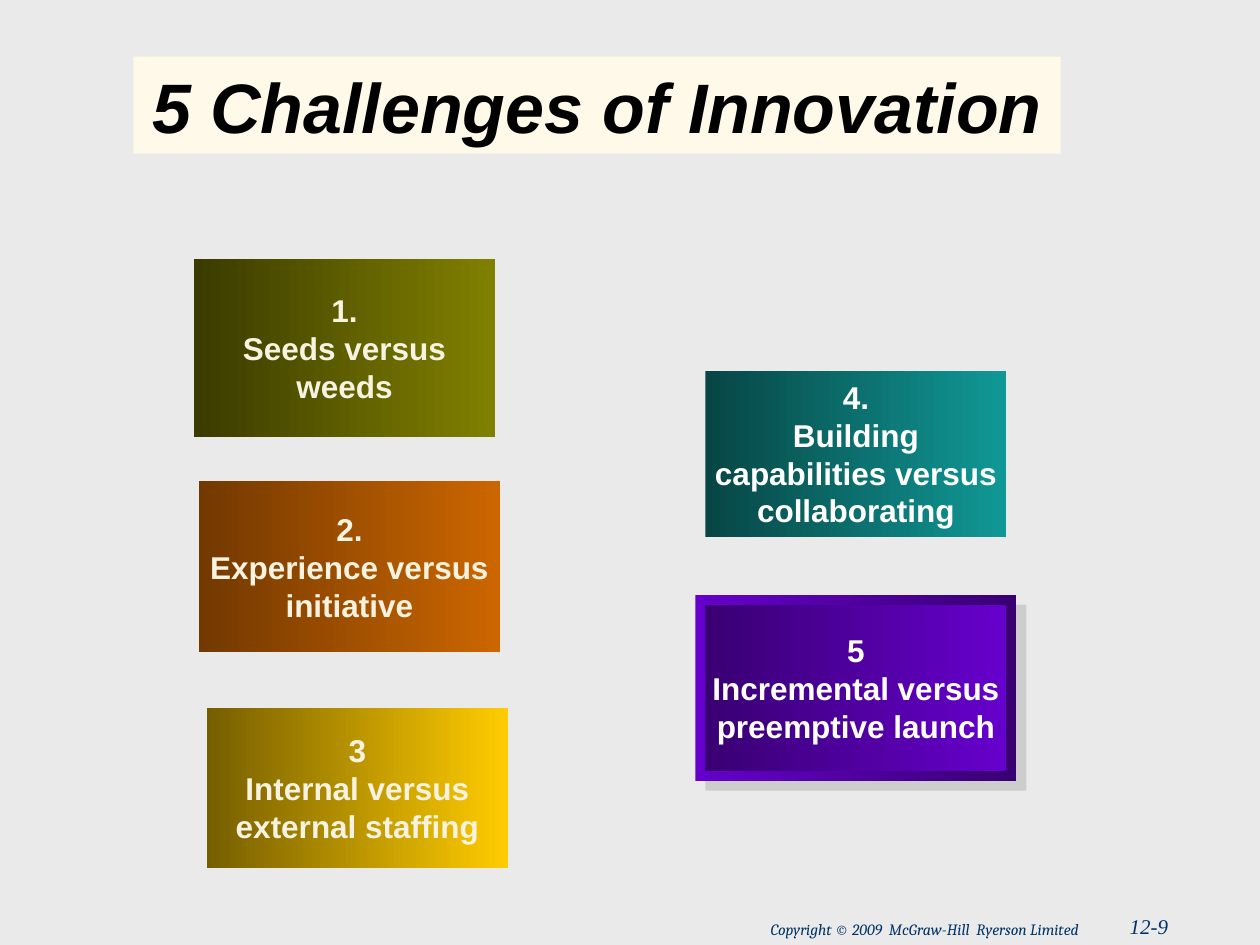
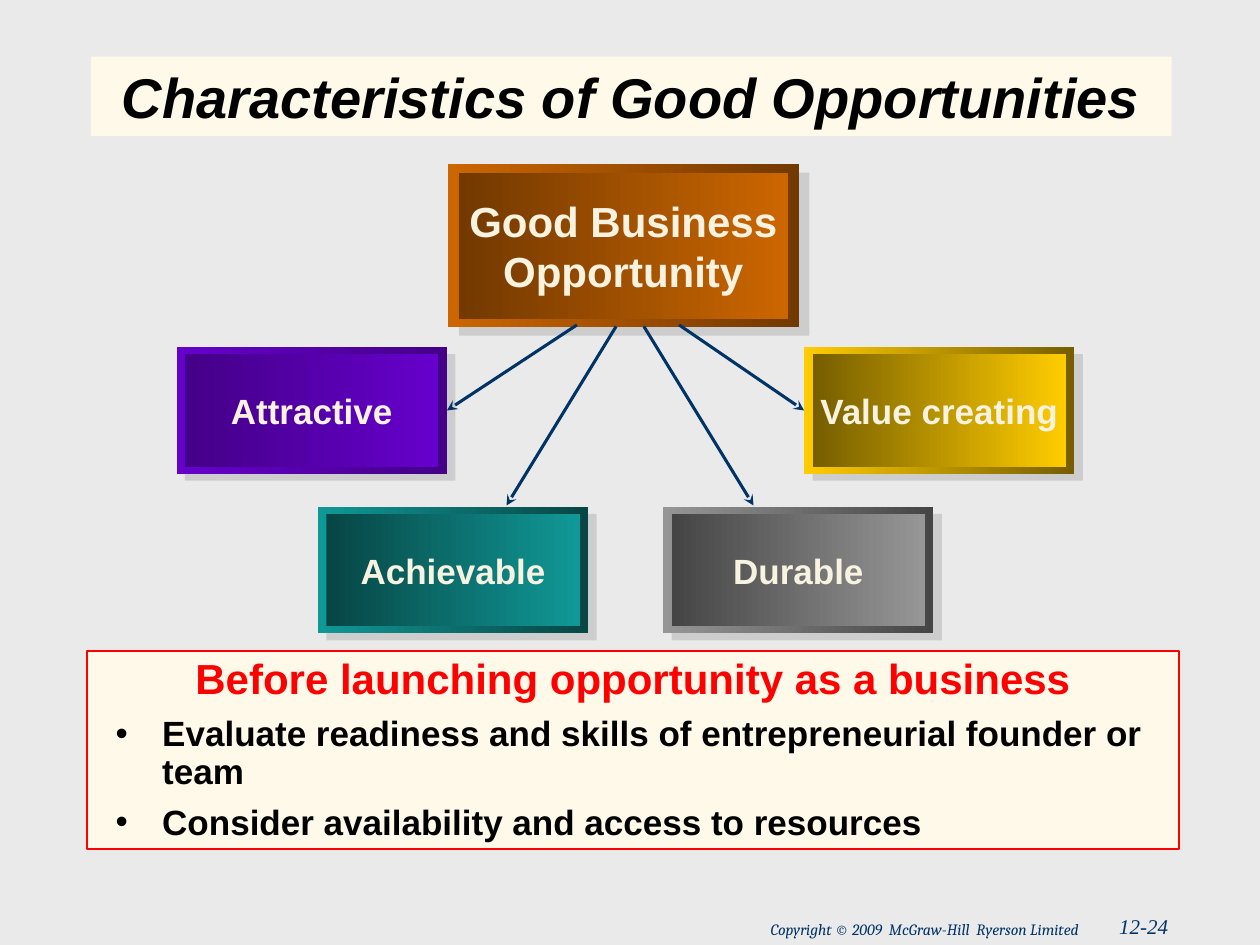
import pptx
import pptx.dml.color
import pptx.enum.shapes
import pptx.enum.text
import pptx.oxml.ns
import pptx.util
from lxml import etree

Cm, Pt = pptx.util.Cm, pptx.util.Pt
RGB = pptx.dml.color.RGBColor
ALIGN = pptx.enum.text.PP_ALIGN
ANCHOR = pptx.enum.text.MSO_ANCHOR
RECTANGLE = pptx.enum.shapes.MSO_SHAPE.RECTANGLE
STRAIGHT = pptx.enum.shapes.MSO_CONNECTOR.STRAIGHT
qn = pptx.oxml.ns.qn

BACKGROUND = RGB(0xEA, 0xEA, 0xEA)
CREAM = RGB(0xFF, 0xF9, 0xE9)
IVORY = RGB(0xF8, 0xF3, 0xE0)
WHITE = RGB(0xFF, 0xFF, 0xFF)
BLACK = RGB(0x00, 0x00, 0x00)
NAVY = RGB(0x00, 0x33, 0x66)
RED = RGB(0xFF, 0x00, 0x00)
SHADOW = RGB(0xB2, 0xB2, 0xB2)

# Gradients, dark to light
OLIVE = RGB(0x3B, 0x3B, 0x00), RGB(0x80, 0x80, 0x00)
ORANGE = RGB(0x72, 0x39, 0x00), RGB(0xCC, 0x66, 0x00)
GOLD = RGB(0x76, 0x5E, 0x00), RGB(0xFF, 0xCC, 0x00)
TEAL = RGB(0x07, 0x46, 0x45), RGB(0x10, 0x98, 0x96)
DEEP_PURPLE = RGB(0x39, 0x00, 0x72), RGB(0x66, 0x00, 0xCC)
PURPLE = RGB(0x44, 0x00, 0x87), RGB(0x66, 0x00, 0xCC)
GREY = RGB(0x45, 0x45, 0x45), RGB(0x96, 0x96, 0x96)

COPYRIGHT = "Copyright © 2009  McGraw-Hill  Ryerson Limited"
TITLE_AND_BODY, TITLE_ONLY = 1, 5
PAD = dict(margin_left=Cm(0.25), margin_right=Cm(0.25),
           margin_top=Cm(0.13), margin_bottom=Cm(0.13))
NO_PAD = dict.fromkeys(PAD, 0)


def set_attrs(obj, values):
    for name, value in values.items():
        setattr(obj, name, value)


def place(shape, box):
    names = ("left", "top", "width", "height")
    set_attrs(shape, dict(zip(names, map(Cm, box))))


def fill_solid(fill, color):
    fill.solid()
    fill.fore_color.rgb = color


class Deck:
    """Holds the presentation, its style and the current slide."""

    def __init__(self):
        self.prs = pptx.Presentation()
        set_attrs(self.prs, dict(slide_width=Cm(25.4), slide_height=Cm(19.05)))
        fill_solid(self.prs.slide_master.background.fill, BACKGROUND)

    def slide(self, layout, number):
        self.s = self.prs.slides.add_slide(self.prs.slide_layouts[layout])
        self.footer(number, (19.56, 18.29, 4.24, 0.76), 12, "Times New Roman")
        self.footer(COPYRIGHT, (10.36, 18.42, 11.63, 0.64), 9, "Cambria")

    def set_text(self, tf, lines, size, color, align=ALIGN.CENTER, pad=NO_PAD,
                 anchor=ANCHOR.MIDDLE, font="Arial", bold=True, italic=False):
        set_attrs(tf, dict(word_wrap=True, vertical_anchor=anchor,
                           auto_size=pptx.enum.text.MSO_AUTO_SIZE.NONE, **pad))
        tf.text = "\n".join(lines)
        for p in tf.paragraphs:
            set_attrs(p, dict(alignment=align, space_before=Pt(0)))
            for r in p.runs:
                set_attrs(r.font, dict(name=font, size=Pt(size), bold=bold, italic=italic))
                r.font.color.rgb = color

    def footer(self, text, box, size, font):
        tb = self.s.shapes.add_textbox(*map(Cm, box))
        self.set_text(tb.text_frame, [text], size, NAVY, ALIGN.RIGHT, PAD,
                      ANCHOR.TOP, font, bold=False, italic=True)

    def title(self, text, box, size):
        title = self.s.shapes.title
        place(title, box)
        fill_solid(title.fill, CREAM)
        self.set_text(title.text_frame, [text], size, BLACK, pad=PAD, italic=True)

    def rect(self, box, shapes=None):
        sp = (shapes or self.s.shapes).add_shape(RECTANGLE, *map(Cm, box))
        sp.shadow.inherit = False
        sp.line.fill.background()
        return sp

    def gradient_box(self, box, colors, lines=(), size=18, color=IVORY, shapes=None):
        sp = self.rect(box, shapes)
        sp.fill.gradient()
        sp.fill.gradient_angle = 0
        for stop, rgb in zip(sp.fill.gradient_stops, colors):
            stop.color.rgb = rgb
        if lines:
            self.set_text(sp.text_frame, lines, size, color)
        return sp

    def framed_box(self, box, edge, colors, lines, size, color=IVORY):
        """Add a gradient box with a reversed frame and an offset shadow; return the frame."""
        (x, y, w, h), (ex, ey) = box, edge
        outer = w + 2 * ex, h + 2 * ey
        shapes = self.s.shapes.add_group_shape().shapes
        shadow = self.rect((x, y, *outer), shapes)
        fill_solid(shadow.fill, SHADOW)
        rgb = shadow._element.spPr.find(".//" + qn("a:srgbClr"))
        etree.SubElement(rgb, qn("a:alpha"), val="50000")
        frame = self.gradient_box((x - ex, y - ey, *outer), colors[::-1], shapes=shapes)
        self.gradient_box(box, colors, lines, size, color, shapes)
        return frame

    def arrow(self, start, end, target=None, side=None):
        c = self.s.shapes.add_connector(STRAIGHT, *map(Cm, start + end))
        c.line.color.rgb = NAVY
        c.line.width = Pt(1.75)
        spPr = c._element.spPr
        etree.SubElement(spPr.find(qn("a:ln")), qn("a:tailEnd"), type="stealth")
        etree.SubElement(spPr, qn("a:effectLst"))
        if target:
            c.end_connect(target, side)

    def body(self, box, heading, bullets):
        body = self.s.placeholders[1]
        place(body, box)
        fill_solid(body.fill, CREAM)
        body.line.color.rgb = RED
        body.line.width = Pt(1)
        tf = body.text_frame
        self.set_text(tf, [heading, *bullets], 20, BLACK, ALIGN.LEFT, PAD, ANCHOR.TOP)
        first, *rest = tf.paragraphs
        self.bullet(first, 0, 0, "a:buNone")
        first.alignment = ALIGN.CENTER
        first.runs[0].font.size = Pt(24)
        first.runs[0].font.color.rgb = RED
        for p in rest:
            self.bullet(p, 1.27, -0.94, "a:buChar", char="•")
            p.space_before = Pt(7.5)

    def bullet(self, p, margin, indent, tag, **attrs):
        p.line_spacing = 0.9
        pPr = p._p.get_or_add_pPr()
        pPr.set("marL", str(int(Cm(margin))))
        pPr.set("indent", str(int(Cm(indent))))
        etree.SubElement(pPr, qn(tag), **attrs)


def challenges(deck):
    deck.slide(TITLE_ONLY, "12-9")
    deck.title("5 Challenges of Innovation", (2.69, 1.14, 18.69, 1.96), 40)
    width = 6.07
    for x, y, h, colors, color, lines in (
        (3.91, 5.23, 3.58, OLIVE, IVORY, ("1.", "Seeds versus weeds")),
        (4.01, 9.7, 3.45, ORANGE, IVORY, ("2.", "Experience versus initiative")),
        (4.17, 14.27, 3.23, GOLD, IVORY, ("3", "Internal versus external staffing")),
        (14.22, 7.47, 3.35, TEAL, WHITE,
         ("4.", "Building capabilities versus collaborating")),
    ):
        deck.gradient_box((x, y, width, h), colors, lines, color=color)
    deck.framed_box((14.22, 12.19, width, 3.35), (0.2, 0.2), DEEP_PURPLE,
                    ("5", "Incremental versus preemptive launch"), 18, WHITE)


def opportunities(deck):
    deck.slide(TITLE_AND_BODY, "12-24")
    deck.title("Characteristics of Good Opportunities", (1.83, 1.14, 21.79, 1.6), 32)
    deck.framed_box((9.25, 3.48, 6.63, 2.95), (0.22, 0.17), ORANGE,
                    ["Good Business Opportunity"], 24)
    upper, lower = 7.14, 10.36
    attractive, value_creating, _, _ = [
        deck.framed_box((x, y, 5.11, 2.27), (0.17, 0.14), colors, [trait], 20)
        for x, y, colors, trait in (
            (3.73, upper, PURPLE, "Attractive"),
            (16.38, upper, GOLD, "Value creating"),
            (6.58, lower, TEAL, "Achievable"),
            (13.54, lower, GREY, "Durable"),
        )
    ]
    deck.arrow((11.63, 6.55), (9.09, 8.33), attractive, 3)
    deck.arrow((13.69, 6.55), (16.23, 8.33), value_creating, 1)
    deck.arrow((12.42, 6.58), (10.21, 10.19))
    deck.arrow((12.98, 6.58), (15.19, 10.19))
    deck.body((1.75, 13.13, 22.02, 3.99), "Before launching opportunity as a business", (
        "Evaluate readiness and skills of entrepreneurial founder or team",
        "Consider availability and access to resources",
    ))


def main():
    deck = Deck()
    challenges(deck)
    opportunities(deck)
    deck.prs.save("out.pptx")


if __name__ == "__main__":
    main()
